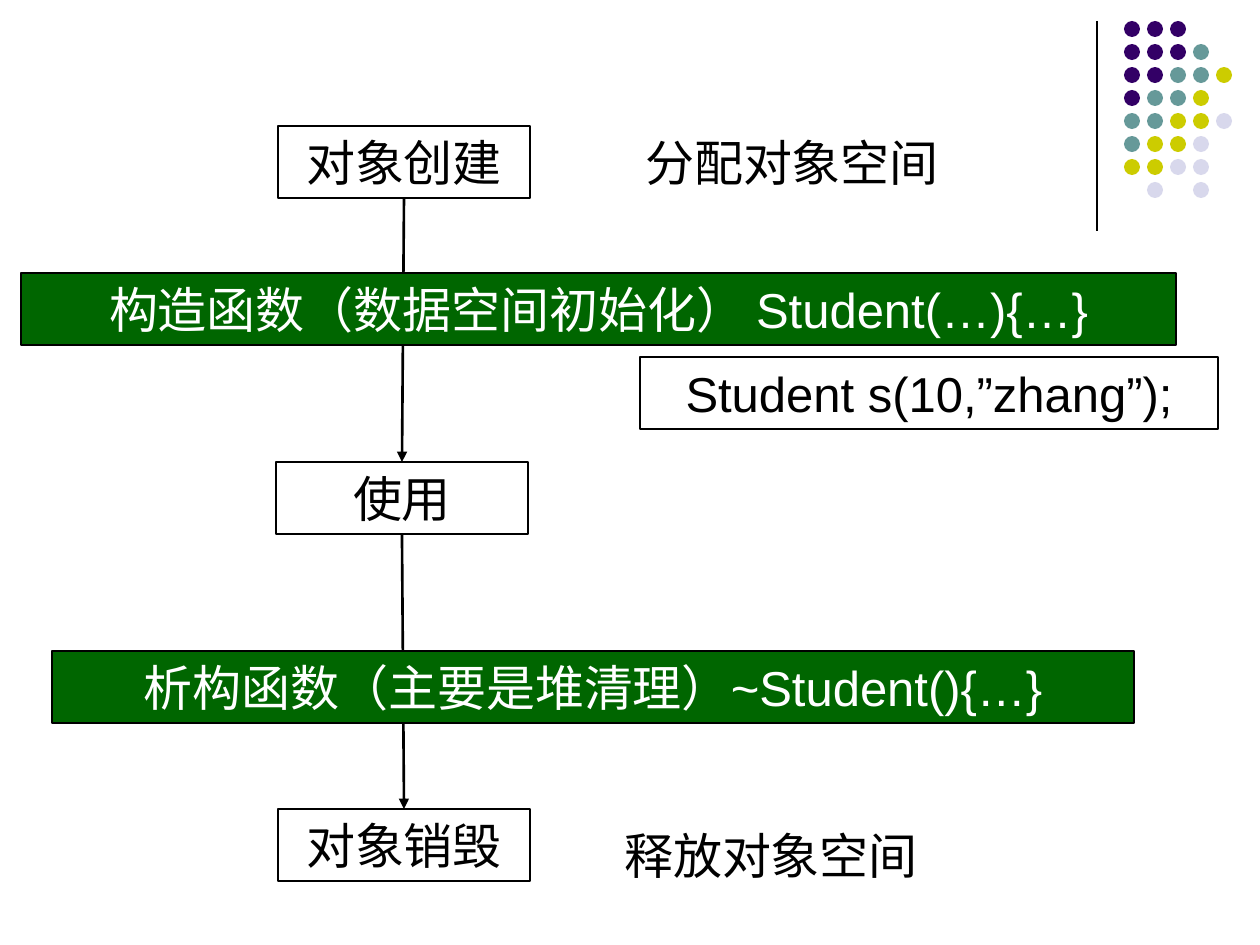
from pptx import Presentation
from pptx.dml.color import RGBColor
from pptx.enum.shapes import MSO_CONNECTOR as CONN, MSO_SHAPE as SHAPE
from pptx.enum.text import MSO_ANCHOR as ANCHOR, MSO_AUTO_SIZE as AUTO, PP_ALIGN as ALIGN
from pptx.oxml.ns import qn
from pptx.util import Pt
from lxml.etree import SubElement

PX = 914400 / 126
BLACK = RGBColor(0x00, 0x00, 0x00)
WHITE = RGBColor(0xFF, 0xFF, 0xFF)
GREEN = RGBColor(0x00, 0x66, 0x00)
PURPLE = RGBColor(0x33, 0x00, 0x66)
TEAL = RGBColor(0x66, 0x99, 0x99)
YELLOW = RGBColor(0xCC, 0xCC, 0x00)
LILAC = RGBColor(0xD8, 0xD8, 0xEC)

prs = Presentation()
prs.slide_width, prs.slide_height = round(1260 * PX), round(945 * PX)
s = prs.slides.add_slide(prs.slide_layouts[6])


def add_label(text, x, y, w, fill=None, color=BLACK, border=True):
    box = [round(v * PX) for v in (x, y, w, 72)]
    if border:
        sp = s.shapes.add_shape(SHAPE.RECTANGLE, *box)
        sp.shadow.inherit = False
        sp.line.color.rgb = BLACK
        sp.line.width = Pt(1.5)
        if fill is None:
            sp.fill.background()
        else:
            sp.fill.solid()
            sp.fill.fore_color.rgb = fill
    else:
        sp = s.shapes.add_textbox(*box)
    tf = sp.text_frame
    tf.text = text
    tf.word_wrap = True
    tf.auto_size = AUTO.SHAPE_TO_FIT_TEXT
    tf.vertical_anchor = ANCHOR.TOP
    p = tf.paragraphs[0]
    p.alignment = ALIGN.CENTER
    font = p.runs[0].font
    font.name, font.size = "Arial", Pt(28)
    font.color.rgb = color
    return sp


def add_line(x1, y1, x2, y2, width):
    line = s.shapes.add_connector(CONN.STRAIGHT, *[round(v * PX) for v in (x1, y1, x2, y2)])
    line.line.color.rgb = BLACK
    line.line.width = Pt(width)
    SubElement(line._element.spPr, qn("a:effectLst"))
    return line


add_line(1097, 21, 1097, 231, 0.75)

DOT_COLORS = {"P": PURPLE, "T": TEAL, "Y": YELLOW, "L": LILAC}
DOT_ROWS = ["PPP", "PPPT", "PPTTY", "PTTY", "TTYYL", "TYYL", "YYLL", " L L"]
for row, keys in enumerate(DOT_ROWS):
    for col, key in enumerate(keys):
        if key == " ":
            continue
        dot = s.shapes.add_shape(SHAPE.OVAL, round((1124 + 23 * col) * PX), round((21 + 23 * row) * PX),
                                 round(16 * PX), round(16 * PX))
        dot.shadow.inherit = False
        dot.fill.solid()
        dot.fill.fore_color.rgb = DOT_COLORS[key]
        dot.line.fill.background()

create = add_label("对象创建", 278, 126, 252)
destroy = add_label("对象销毁", 278, 809, 252)
use = add_label("使用", 276, 462, 252)

for start, end in [(create, use), (use, destroy)]:
    arrow = add_line(404, 198, 404, 462, 1.5)
    arrow.begin_connect(start, 2)
    arrow.end_connect(end, 0)
    SubElement(arrow.line._get_or_add_ln(), qn("a:tailEnd"), type="triangle")

add_label("构造函数（数据空间初始化） Student(…){…}", 21, 273, 1155, GREEN, WHITE)
add_label("析构函数（主要是堆清理）~Student(){…}", 52, 651, 1082, GREEN, WHITE)
add_label("Student s(10,”zhang”);", 640, 357, 578, WHITE)
add_label("分配对象空间", 598, 126, 388, border=False)
add_label("释放对象空间", 577, 819, 388, border=False)

prs.save("out.pptx")
